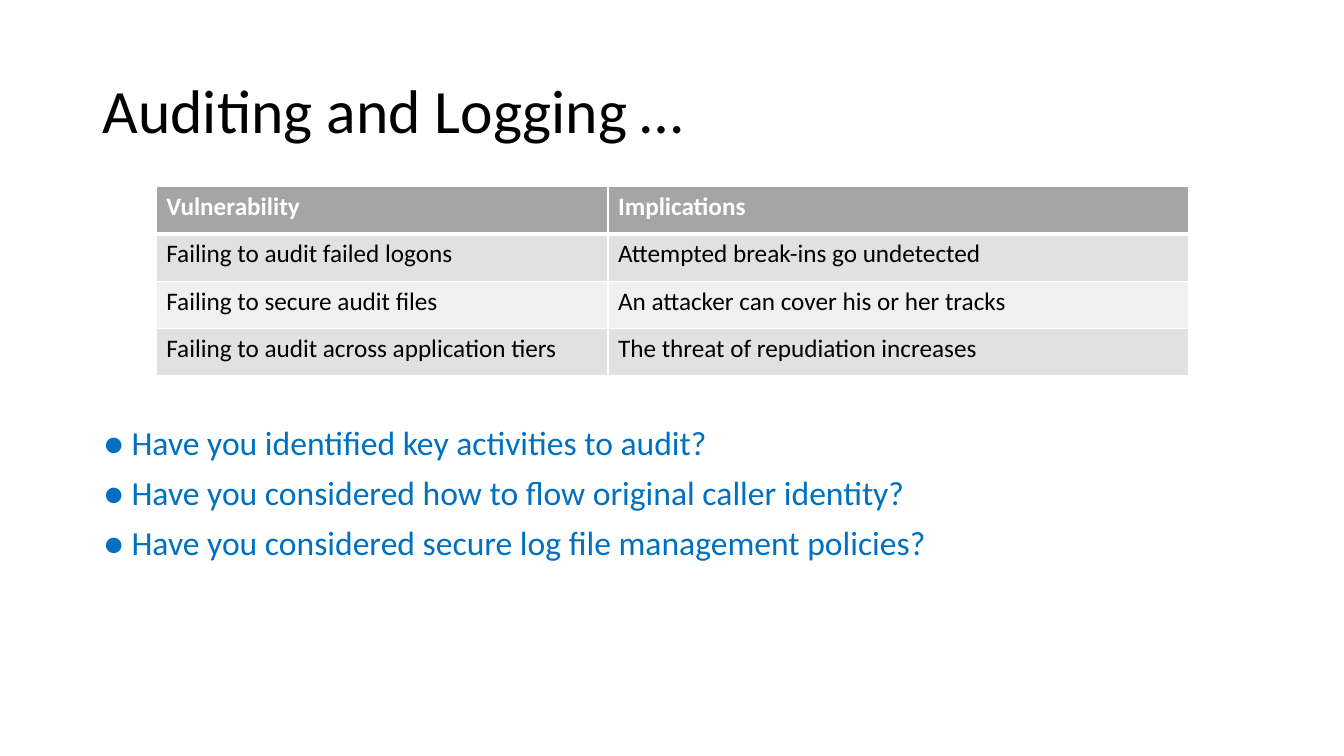
"""Build the slide on auditing and logging vulnerabilities."""
from dataclasses import dataclass

from lxml import etree
from pptx import Presentation
from pptx.dml.color import RGBColor
from pptx.enum.text import MSO_ANCHOR
from pptx.oxml.ns import qn
from pptx.util import Pt

MIDDLE = MSO_ANCHOR.MIDDLE
TOP = MSO_ANCHOR.TOP
PX = 9144


@dataclass(frozen=True)
class Theme:
    font: str = "Calibri"
    black: str = "000000"
    white: str = "FFFFFF"
    blue: str = "0070C0"
    header: str = "A5A5A5"
    bands: tuple = ("E1E1E1", "F0F0F0")
    title_size: int = 44
    question_size: int = 24
    cell_size: int = 18


theme = Theme()


def write(paragraph, text, size, color, bold=False):
    run = paragraph.add_run()
    run.text = text
    run.font.name = theme.font
    run.font.size = Pt(size)
    run.font.bold = bold
    run.font.color.rgb = RGBColor.from_string(color)


def add_text(slide, box, lines, size, color, anchor):
    shape = slide.shapes.add_textbox(*(length * PX for length in box))
    frame = shape.text_frame
    frame.word_wrap = True
    frame.vertical_anchor = anchor
    for index, line in enumerate(lines):
        paragraph = frame.add_paragraph() if index else frame.paragraphs[0]
        paragraph.line_spacing = 0.9
        paragraph.space_before = Pt(10 if index else 0)
        write(paragraph, line, size, color)


presentation = Presentation()
presentation.slide_width = 1333 * PX
presentation.slide_height = 750 * PX
slide = presentation.slides.add_slide(presentation.slide_layouts[6])

add_text(slide, (92, 40, 1150, 145), ["Auditing and Logging …"],
         theme.title_size, theme.black, MIDDLE)

rows = [
    ("Vulnerability", "Implications"),
    ("Failing to audit failed logons", "Attempted break-ins go undetected"),
    ("Failing to secure audit files", "An attacker can cover his or her tracks"),
    ("Failing to audit across application tiers", "The threat of repudiation increases"),
]
column_widths = (448, 576)
row_height = 47
table = slide.shapes.add_table(
    len(rows), len(column_widths), 155 * PX, 185 * PX,
    sum(column_widths) * PX, len(rows) * row_height * PX).table
table.first_row = True
table.horz_banding = False
for column, width in zip(table.columns, column_widths):
    column.width = width * PX

for row_index, texts in enumerate(rows):
    table.rows[row_index].height = row_height * PX
    is_header = row_index == 0
    fill = theme.header if is_header else theme.bands[(row_index - 1) % 2]
    color = theme.white if is_header else theme.black
    borders = {"a:lnL": 1, "a:lnR": 1,
               "a:lnT": 3 if row_index == 1 else 1,
               "a:lnB": 3 if is_header else 1}
    for column_index, text in enumerate(texts):
        cell = table.cell(row_index, column_index)
        write(cell.text_frame.paragraphs[0], text, theme.cell_size, color, is_header)
        properties = cell._tc.get_or_add_tcPr()
        for tag, points in borders.items():
            line = etree.SubElement(properties, qn(tag), w=str(Pt(points)))
            solid = etree.SubElement(line, qn("a:solidFill"))
            etree.SubElement(solid, qn("a:srgbClr"), val=theme.white)
        cell.fill.solid()
        cell.fill.fore_color.rgb = RGBColor.from_string(fill)

questions = [
    "● Have you identified key activities to audit?",
    "● Have you considered how to flow original caller identity?",
    "● Have you considered secure log file management policies?",
]
add_text(slide, (93, 418, 1150, 252), questions,
         theme.question_size, theme.blue, TOP)

presentation.save("out.pptx")
